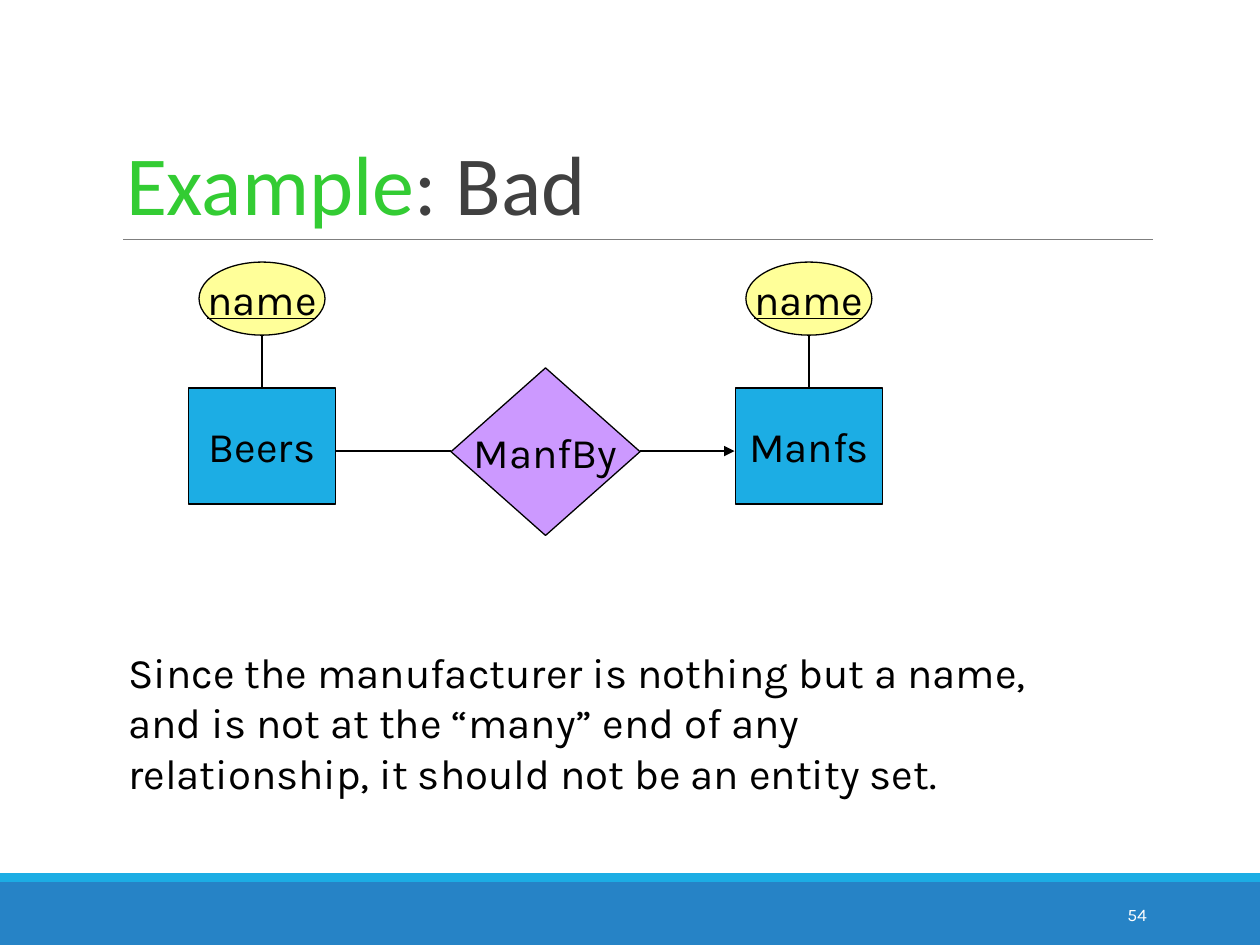
"""Build the entity-relationship slide showing a bad design."""
from lxml.etree import SubElement
from pptx import Presentation
from pptx.dml.color import RGBColor
from pptx.enum.shapes import MSO_CONNECTOR, MSO_SHAPE
from pptx.enum.text import MSO_ANCHOR, MSO_AUTO_SIZE, PP_ALIGN
from pptx.oxml.ns import qn
from pptx.util import Inches, Pt

COLORS = {
    "black": "000000", "white": "FFFFFF", "rule": "7F7F7F",
    "footer": "2683C6", "entity": "1CADE4", "relationship": "CC99FF",
    "attribute": "FFFF99", "example": "33CC33", "title": "404040",
}
AXIS_Y = 3.58
ENTITY_TOP, ENTITY_WIDTH, ENTITY_HEIGHT = 3.08, 1.17, 0.92
ATTRIBUTE_TOP, ATTRIBUTE_WIDTH, ATTRIBUTE_HEIGHT = 2.08, 1, 0.58
ENTITIES = {"Beers": 2.08, "Manfs": 6.42}


def color(name):
    """Return the named colour."""
    return RGBColor.from_string(COLORS[name])


def write(frame, text, *, size=24, font="Karla", ink="black", underline=None,
          align=PP_ALIGN.LEFT, anchor=MSO_ANCHOR.TOP, wrap=True):
    """Append a formatted run to the first paragraph of a text frame."""
    frame.word_wrap = wrap
    frame.vertical_anchor = anchor
    paragraph = frame.paragraphs[0]
    paragraph.alignment = align
    run = paragraph.add_run()
    run.text = text
    run.font.size = Pt(size)
    run.font.name = font
    run.font.underline = underline
    run.font.color.rgb = color(ink)


def add_block(slide, kind, box, fill, outline=None):
    """Add a filled preset shape, outlined if a colour is given."""
    block = slide.shapes.add_shape(kind, *map(Inches, box))
    block.shadow.inherit = False
    block.fill.solid()
    block.fill.fore_color.rgb = color(fill)
    if outline:
        block.line.color.rgb = color(outline)
        block.line.width = Pt(0.75)
    else:
        block.line.fill.background()
    return block


def add_node(slide, kind, box, fill, label, underline=None):
    """Add a labelled node of the diagram."""
    node = add_block(slide, kind, box, fill, "black")
    write(node.text_frame, label, underline=underline, align=PP_ALIGN.CENTER,
          anchor=MSO_ANCHOR.MIDDLE, wrap=False)


def add_line(slide, start, end, ink="black", width=0.75, arrow=False):
    """Add a straight line, with an arrowhead at its end if asked."""
    line = slide.shapes.add_connector(
        MSO_CONNECTOR.STRAIGHT, *map(Inches, (*start, *end)))
    line.line.color.rgb = color(ink)
    line.line.width = Pt(width)
    if arrow:
        SubElement(line.line._get_or_add_ln(), qn("a:tailEnd"), type="triangle")
    SubElement(line._element.spPr, qn("a:effectLst"))


def add_text(slide, box, text, **style):
    """Add a text box."""
    frame = slide.shapes.add_textbox(*map(Inches, box)).text_frame
    write(frame, text, **style)


def add_title(slide):
    """Place and fill the title."""
    title = slide.shapes.title
    title.left, title.top, title.width, title.height = map(
        Inches, (0.9, 0.31, 8.25, 1.59))
    frame = title.text_frame
    frame.auto_size = MSO_AUTO_SIZE.NONE
    frame.paragraphs[0].line_spacing = 0.85
    for text, ink in (("Example", "example"), (": Bad", "title")):
        write(frame, text, size=48, font="Calibri", ink=ink,
              anchor=MSO_ANCHOR.BOTTOM)


def add_entity(slide, label, center):
    """Add an entity set with its key attribute above it."""
    add_node(slide, MSO_SHAPE.RECTANGLE,
             (center - ENTITY_WIDTH / 2, ENTITY_TOP, ENTITY_WIDTH, ENTITY_HEIGHT),
             "entity", label)
    add_node(slide, MSO_SHAPE.OVAL,
             (center - ATTRIBUTE_WIDTH / 2, ATTRIBUTE_TOP,
              ATTRIBUTE_WIDTH, ATTRIBUTE_HEIGHT),
             "attribute", "name", underline=True)
    add_line(slide, (center, ATTRIBUTE_TOP + ATTRIBUTE_HEIGHT),
             (center, ENTITY_TOP))


def main():
    """Build and save the slide."""
    deck = Presentation()
    deck.slide_width, deck.slide_height = Inches(10), Inches(7.5)
    slide = deck.slides.add_slide(deck.slide_layouts[5])

    add_block(slide, MSO_SHAPE.RECTANGLE, (0, 7, 10, 0.5), "footer")
    add_block(slide, MSO_SHAPE.RECTANGLE, (0, 6.93, 10, 0.07), "entity")
    add_line(slide, (0.98, 1.9), (9.15, 1.9), "rule", 0.5)
    add_title(slide)
    add_text(slide, (8.12, 7.06, 1.08, 0.4), "54", size=10, ink="white",
             align=PP_ALIGN.RIGHT, anchor=MSO_ANCHOR.MIDDLE)

    for label, center in ENTITIES.items():
        add_entity(slide, label, center)
    add_node(slide, MSO_SHAPE.DIAMOND, (3.58, 2.92, 1.5, 1.33),
             "relationship", "ManfBy")
    add_line(slide, (3.58, AXIS_Y), (2.67, AXIS_Y))
    add_line(slide, (5.08, AXIS_Y), (5.17, AXIS_Y))
    add_line(slide, (5.17, AXIS_Y), (5.83, AXIS_Y), arrow=True)

    add_text(slide, (0.92, 5.08, 7.52, 1.3),
             "Since the manufacturer is nothing but a name, and is not at the "
             "“many” end of any relationship, it should not be an entity set.")
    deck.save("out.pptx")


if __name__ == "__main__":
    main()
